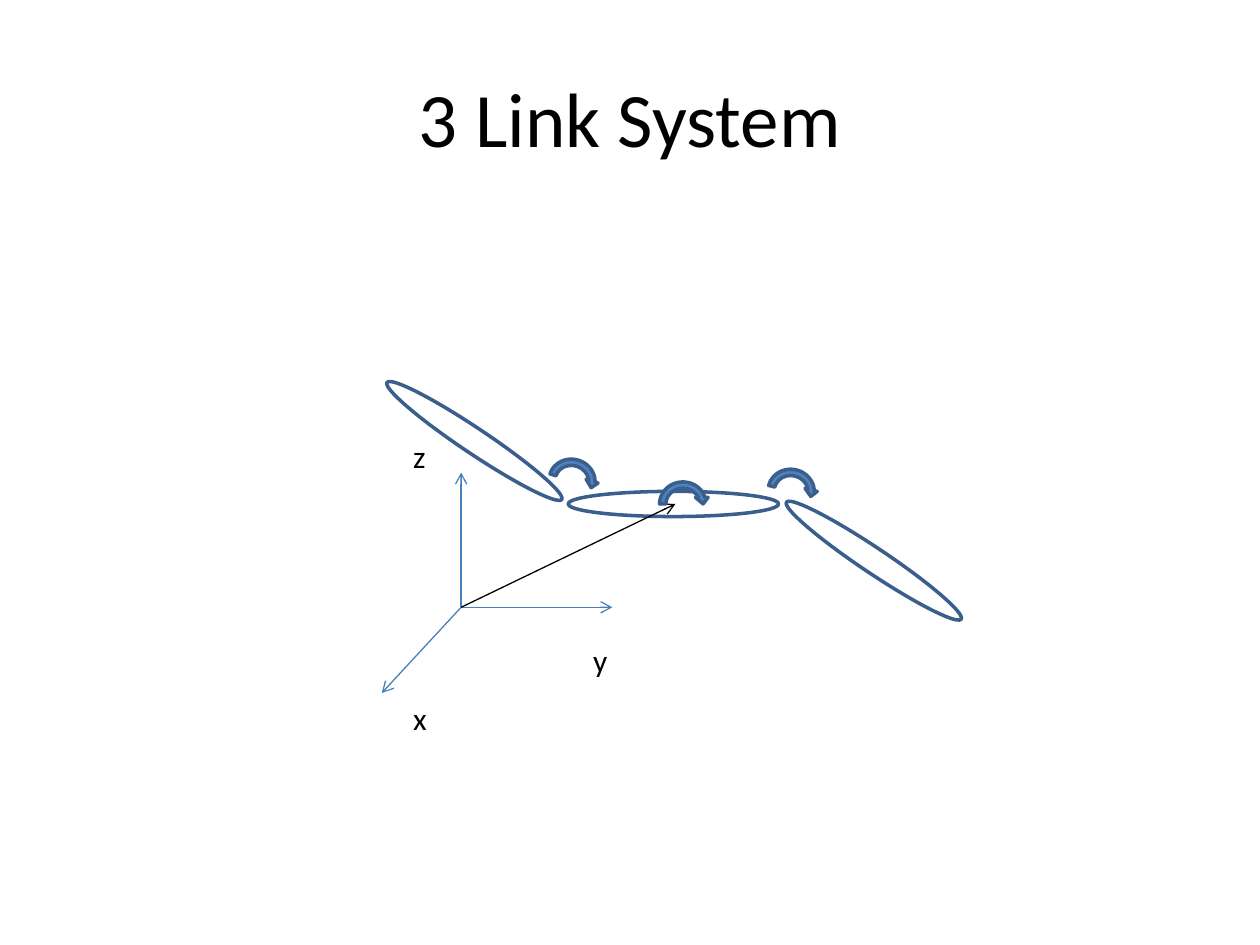
from dataclasses import dataclass

from lxml import etree
from pptx import Presentation
from pptx.dml.color import RGBColor
from pptx.enum.shapes import MSO_CONNECTOR, MSO_SHAPE
from pptx.enum.text import MSO_ANCHOR, MSO_AUTO_SIZE, PP_ALIGN
from pptx.oxml.ns import qn
from pptx.slide import Slide
from pptx.util import Inches, Pt

STRAIGHT = MSO_CONNECTOR.STRAIGHT
ELLIPSE = MSO_SHAPE.OVAL
CIRCULAR_ARROW = MSO_SHAPE.CIRCULAR_ARROW
LEFT, CENTER = PP_ALIGN.LEFT, PP_ALIGN.CENTER
TOP, MIDDLE = MSO_ANCHOR.TOP, MSO_ANCHOR.MIDDLE
NO_FIT, GROW = MSO_AUTO_SIZE.NONE, MSO_AUTO_SIZE.SHAPE_TO_FIT_TEXT

COLORS = {
    "text": "000000",
    "axis": "4B7EBC",
    "outline": "3A5F8C",
    "link": "FFFFFF",
    "rotation": "4F81BD",
}
ORIGIN = (3.66, 4.82)
LINK_SIZE = (1.67, 0.2)
ROTATION_SIZE = (0.42, 0.4)
LINK_TILT = 33.8


def color(name):
    return RGBColor.from_string(COLORS[name])


@dataclass
class Diagram:
    """Draws text, vectors and solid shapes on one slide in a shared style."""

    slide: Slide
    font: str = "Calibri"

    def text(self, text, position, size, points=18, align=LEFT, anchor=TOP, fit=GROW):
        shape = self.slide.shapes.add_textbox(*map(Inches, position + size))
        frame = shape.text_frame
        frame.word_wrap = True
        frame.auto_size = fit
        frame.vertical_anchor = anchor
        paragraph = frame.paragraphs[0]
        paragraph.alignment = align
        run = paragraph.add_run()
        run.text = text
        run.font.name = self.font
        run.font.size = Pt(points)
        run.font.color.rgb = color("text")

    def vector(self, end, line):
        connector = self.slide.shapes.add_connector(STRAIGHT, *map(Inches, ORIGIN + end))
        connector.line.color.rgb = color(line)
        connector.line.width = Pt(0.75)
        etree.SubElement(connector.line._get_or_add_ln(), qn("a:tailEnd"), type="arrow")
        etree.SubElement(connector._element.spPr, qn("a:effectLst"))

    def solid(self, kind, position, size, fill, rotation=0):
        shape = self.slide.shapes.add_shape(kind, *map(Inches, position + size))
        shape.shadow.inherit = False
        shape.rotation = rotation
        shape.fill.solid()
        shape.fill.fore_color.rgb = color(fill)
        shape.line.color.rgb = color("outline")
        shape.line.width = Pt(2)

    def link(self, position, rotation=0):
        self.solid(ELLIPSE, position, LINK_SIZE, "link", rotation)

    def joint(self, position, rotation=0):
        self.solid(CIRCULAR_ARROW, position, ROTATION_SIZE, "rotation", rotation)


def main():
    presentation = Presentation()
    presentation.slide_width = Inches(10)
    presentation.slide_height = Inches(7.5)
    diagram = Diagram(presentation.slides.add_slide(presentation.slide_layouts[6]))

    diagram.text("3 Link System", (0.5, 0.3), (9, 1.25), points=44,
                 align=CENTER, anchor=MIDDLE, fit=NO_FIT)

    axes = [
        ("x", (3.03, 5.5), (3.18, 5.5)),
        ("y", (4.86, 4.82), (4.61, 5.04)),
        ("z", (3.66, 3.75), (3.18, 3.42)),
    ]
    for name, end, label_position in axes:
        diagram.vector(end, "axis")
        diagram.text(name, label_position, (0.34, 0.4))

    diagram.link((4.51, 3.9))
    diagram.vector((5.36, 4), "text")
    diagram.joint((5.21, 3.8))
    diagram.link((2.93, 3.4), LINK_TILT)
    diagram.joint((4.33, 3.62), 18.6)
    diagram.joint((6.07, 3.7), 14.7)
    diagram.link((6.1, 4.35), LINK_TILT)

    presentation.save("out.pptx")


if __name__ == "__main__":
    main()
